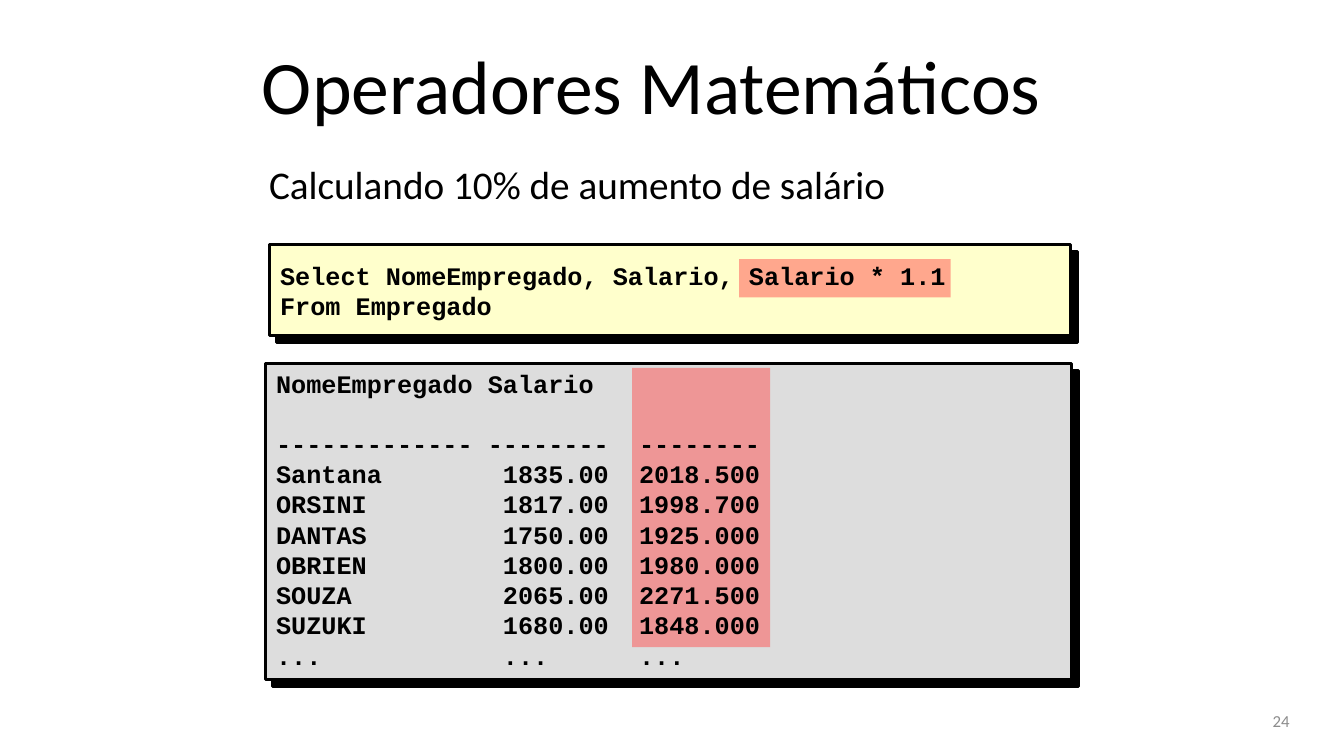
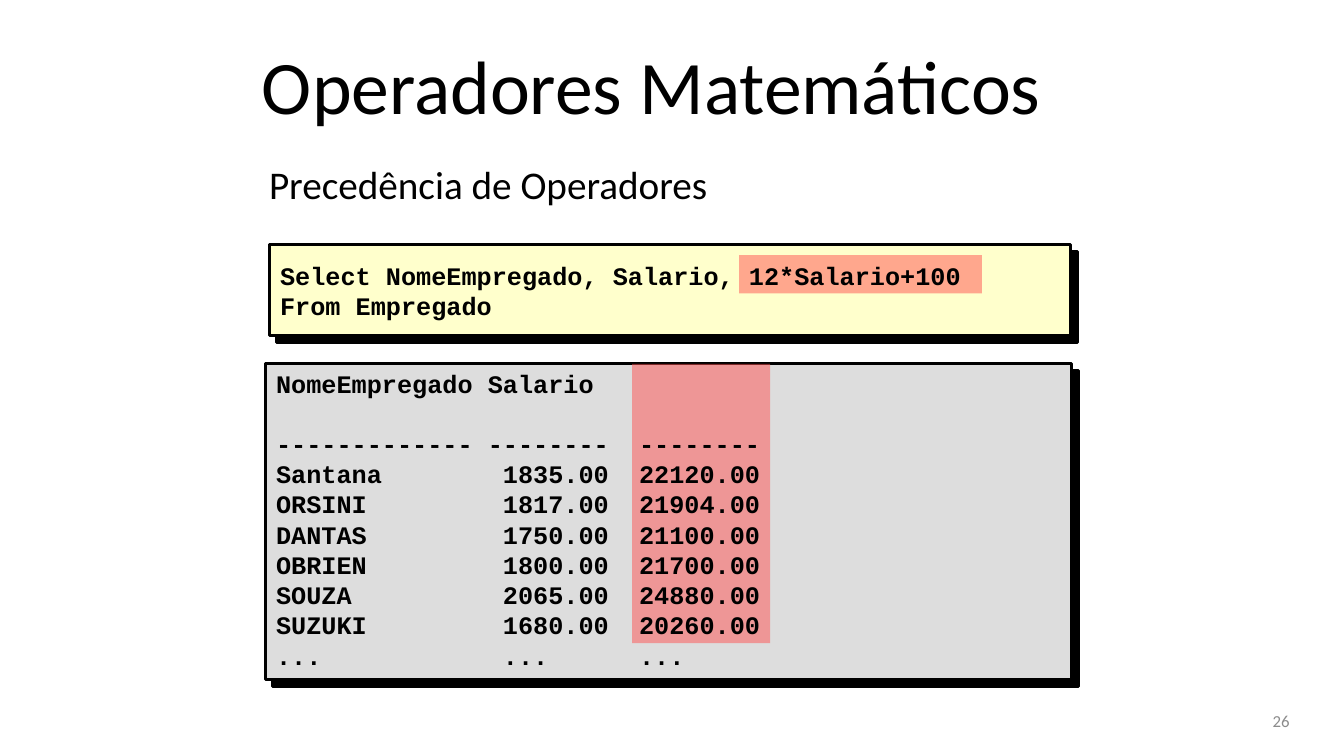
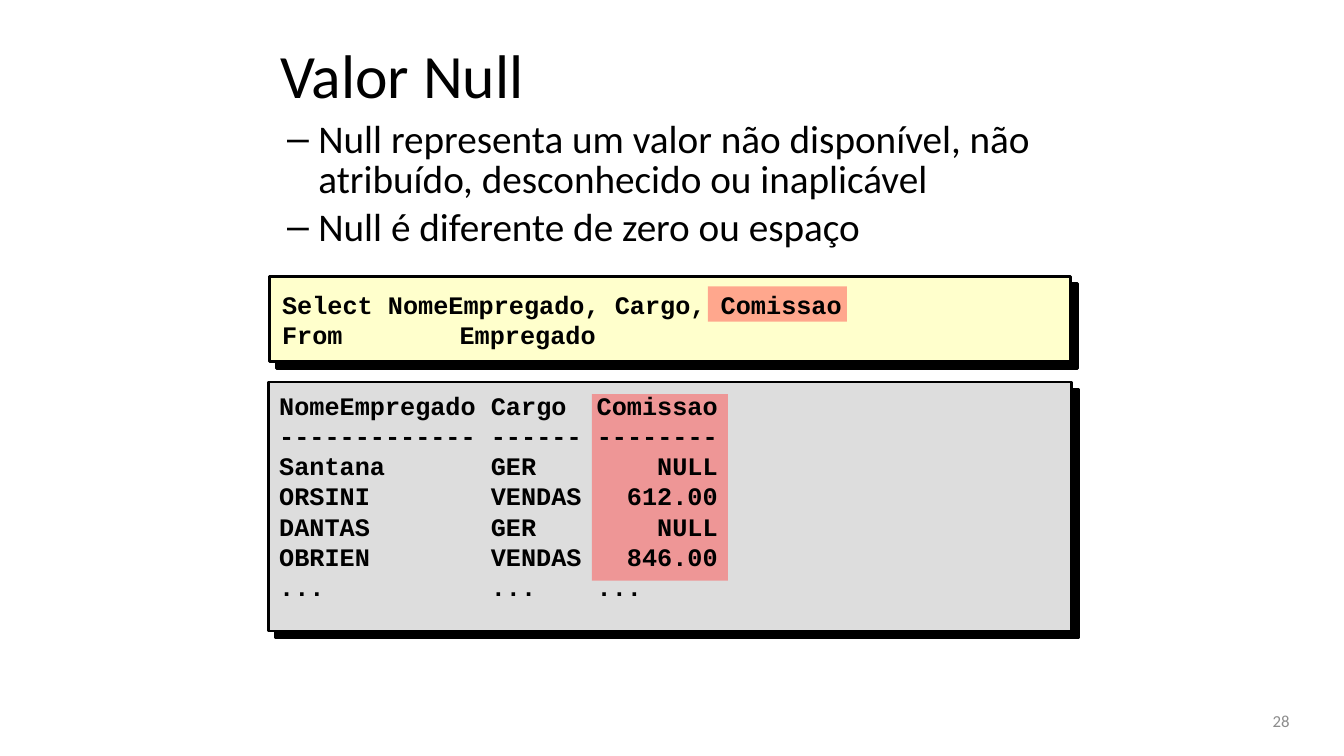
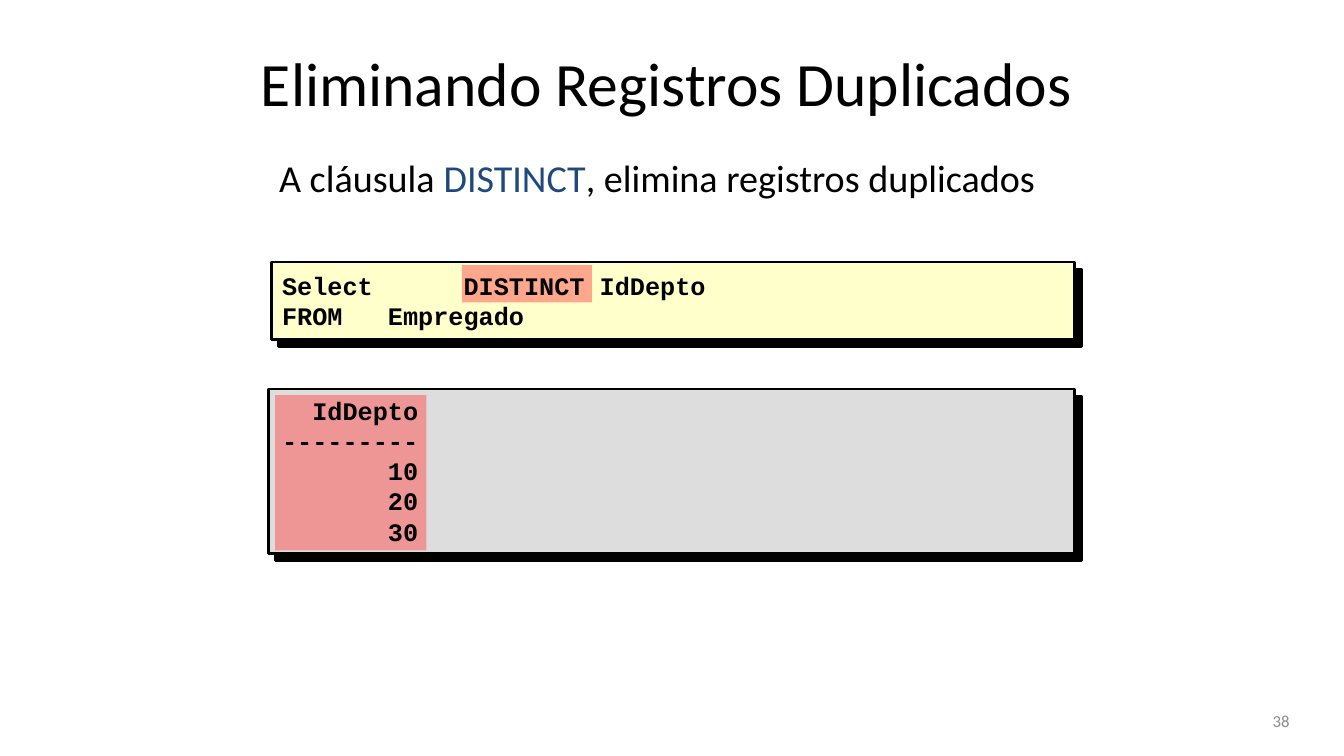
from lxml import etree
from pptx import Presentation
from pptx.dml.color import RGBColor
from pptx.enum.shapes import MSO_SHAPE
from pptx.enum.text import MSO_ANCHOR, PP_ALIGN
from pptx.oxml.ns import qn
from pptx.util import Pt

PX = 9144
CHARACTER = 15
QUERY_TAB = 176
BODY_INDENT, BODY_HANGING = 81, -31

BLACK = RGBColor(0x00, 0x00, 0x00)
GRAY = RGBColor(0x8C, 0x8C, 0x8C)
BLUE = RGBColor(0x1F, 0x49, 0x7D)
CREAM = RGBColor(0xFF, 0xFF, 0xCC)
SILVER = RGBColor(0xDD, 0xDD, 0xDD)
RED = RGBColor(0xFF, 0x50, 0x50)

SALARIES = [
    ("Santana", "1835.00", "2018.500", "22120.00"),
    ("ORSINI", "1817.00", "1998.700", "21904.00"),
    ("DANTAS", "1750.00", "1925.000", "21100.00"),
    ("OBRIEN", "1800.00", "1980.000", "21700.00"),
    ("SOUZA", "2065.00", "2271.500", "24880.00"),
    ("SUZUKI", "1680.00", "1848.000", "20260.00"),
    ("...", "...", "...", "..."),
]


def salary_lines(result):
    rows = [f"{row[0]:<15}{row[1]:<9}{row[result]}" for row in SALARIES]
    return ["NomeEmpregado Salario", "------------- --------  --------"] + rows


def operators_slide(number, subtitle, formula, result, highlights):
    return dict(
        number=number,
        title=("Operadores Matemáticos", (250, 21, 883, 125), 54),
        body=([subtitle], (257, 154, 800, 57), dict(size=28)),
        panels=[(267, 243, 795, 90), (263, 361, 800, 313)],
        highlights=highlights,
        query=([f"Select NomeEmpregado, Salario, {formula}", "From Empregado"],
               (268, 242, 797, 93)),
        result=(salary_lines(result), (264, 360, 803, 283)),
        header_gap=21.6,
    )


SLIDES = [
    operators_slide(24, "Calculando 10% de aumento de salário", "Salario * 1.1", 2,
                    [(733, 257, 210, 38), (627, 365, 137, 277)]),
    operators_slide(26, "Precedência de Operadores", "12*Salario+100", 3,
                    [(733, 253, 241, 38), (627, 361, 137, 277)]),
    dict(
        number=28,
        title=("Valor Null", (268, 25, 798, 96), 44),
        body=(["Null representa um valor não disponível, não atribuído, "
               "desconhecido ou inaplicável",
               "Null é diferente de zero ou espaço"],
              (225, 116, 892, 146),
              dict(size=28, bullet="–", line_spacing=0.85, before=5.6)),
        panels=[(267, 274, 795, 85), (266, 379, 797, 247)],
        highlights=[(702, 284, 138, 35), (587, 391, 135, 185)],
        query=(["Select NomeEmpregado, Cargo, Comissao", "From\tEmpregado"],
               (270, 273, 797, 88)),
        result=(["NomeEmpregado Cargo  Comissao",
                 "------------- ------ --------",
                 "Santana       GER        NULL",
                 "ORSINI        VENDAS   612.00",
                 "DANTAS        GER        NULL",
                 "OBRIEN        VENDAS   846.00",
                 "...           ...    ..."], (267, 382, 795, 222)),
        header_gap=0,
    ),
    dict(
        number=38,
        title=("Eliminando Registros Duplicados", (249, 33, 884, 96), 44),
        body=([[("A cláusula ", BLACK), ("DISTINCT", BLUE),
                (", elimina registros duplicados", BLACK)]],
              (261, 148, 808, 85), dict(size=27.2, indent=6, before=5.4)),
        panels=[(269, 260, 797, 77), (266, 386, 800, 163)],
        highlights=[(458, 263, 129, 37), (273, 392, 150, 154)],
        query=(["Select      DISTINCT IdDepto", "FROM   Empregado"],
               (270, 258, 800, 80)),
        result=(["  IdDepto", "---------", "       10", "       20", "       30"],
                (270, 387, 797, 190)),
        header_gap=0,
    ),
]


def emu(area):
    return [length * PX for length in area]


def add_rectangle(page, area, color):
    box = page.shapes.add_shape(MSO_SHAPE.RECTANGLE, *emu(area))
    box.shadow.inherit = False
    box.fill.solid()
    box.fill.fore_color.rgb = color
    box.line.fill.background()
    return box


def add_panel(page, area, color):
    box = add_rectangle(page, area, color)
    box.line.color.rgb = BLACK
    box.line.width = Pt(2)
    effects = box._element.spPr.find(qn("a:effectLst"))
    shadow = etree.SubElement(effects, qn("a:outerShdw"), dist=str(Pt(7.1)),
                              dir="2700000", algn="ctr", rotWithShape="0")
    etree.SubElement(shadow, qn("a:srgbClr"), val=str(BLACK))


def add_highlight(page, area):
    box = add_rectangle(page, area, RED)
    color = box._element.spPr.find(qn("a:solidFill")).find(qn("a:srgbClr"))
    etree.SubElement(color, qn("a:alpha"), val="50000")


def align_columns(line):
    text, stops, offset = "", [], 0
    for piece in line.split("  "):
        word = piece.strip()
        if word:
            start = offset + len(piece) - len(piece.lstrip())
            if start:
                text += "\t"
                stops.append(start * CHARACTER)
            text += word
        offset += len(piece) + 2
    return text, stops or [QUERY_TAB]


def add_text(page, area, lines, size, font="Calibri", color=BLACK, bold=False,
             align=PP_ALIGN.LEFT, anchor=MSO_ANCHOR.TOP, columns=False, bullet=None,
             indent=0, line_spacing=None, before=0, header_gap=0):
    frame = page.shapes.add_textbox(*emu(area)).text_frame
    frame.word_wrap = True
    frame.vertical_anchor = anchor
    for index, line in enumerate(lines):
        para = frame.paragraphs[0] if index == 0 else frame.add_paragraph()
        para.alignment = align
        para.line_spacing = line_spacing
        para.space_before = Pt(before)
        para.space_after = Pt(header_gap if index == 0 else 0)
        properties = para._p.get_or_add_pPr()
        if indent:
            properties.set("marL", str(indent * PX))
        if bullet:
            properties.set("marL", str(BODY_INDENT * PX))
            properties.set("indent", str(BODY_HANGING * PX))
            etree.SubElement(properties, qn("a:buFont"), typeface="Arial")
            etree.SubElement(properties, qn("a:buChar"), char=bullet)
        if columns:
            line, stops = align_columns(line)
            tabs = etree.SubElement(properties, qn("a:tabLst"))
            for stop in stops:
                etree.SubElement(tabs, qn("a:tab"), pos=str(stop * PX), algn="l")
        for text, tint in [(line, color)] if isinstance(line, str) else line:
            span = para.add_run()
            span.text = text
            span.font.name = font
            span.font.size = Pt(size)
            span.font.bold = bold
            span.font.color.rgb = tint


def build_slide(deck, content):
    page = deck.slides.add_slide(deck.slide_layouts[6])
    for area, color in zip(content["panels"], (CREAM, SILVER)):
        add_panel(page, area, color)
    for area in content["highlights"]:
        add_highlight(page, area)
    code = dict(size=18, font="Courier New", bold=True, columns=True)
    lines, area = content["query"]
    add_text(page, area, lines, anchor=MSO_ANCHOR.MIDDLE, **code)
    lines, area = content["result"]
    add_text(page, area, lines, header_gap=content["header_gap"], **code)
    title, area, size = content["title"]
    add_text(page, area, [title], size, anchor=MSO_ANCHOR.MIDDLE)
    lines, area, style = content["body"]
    add_text(page, area, lines, **style)
    add_text(page, (978, 695, 311, 40), [str(content["number"])], 12, color=GRAY,
             align=PP_ALIGN.RIGHT, anchor=MSO_ANCHOR.MIDDLE)


def main():
    deck = Presentation()
    deck.slide_width, deck.slide_height = emu((1333, 750))
    for content in SLIDES:
        build_slide(deck, content)
    deck.save("out.pptx")


if __name__ == "__main__":
    main()
